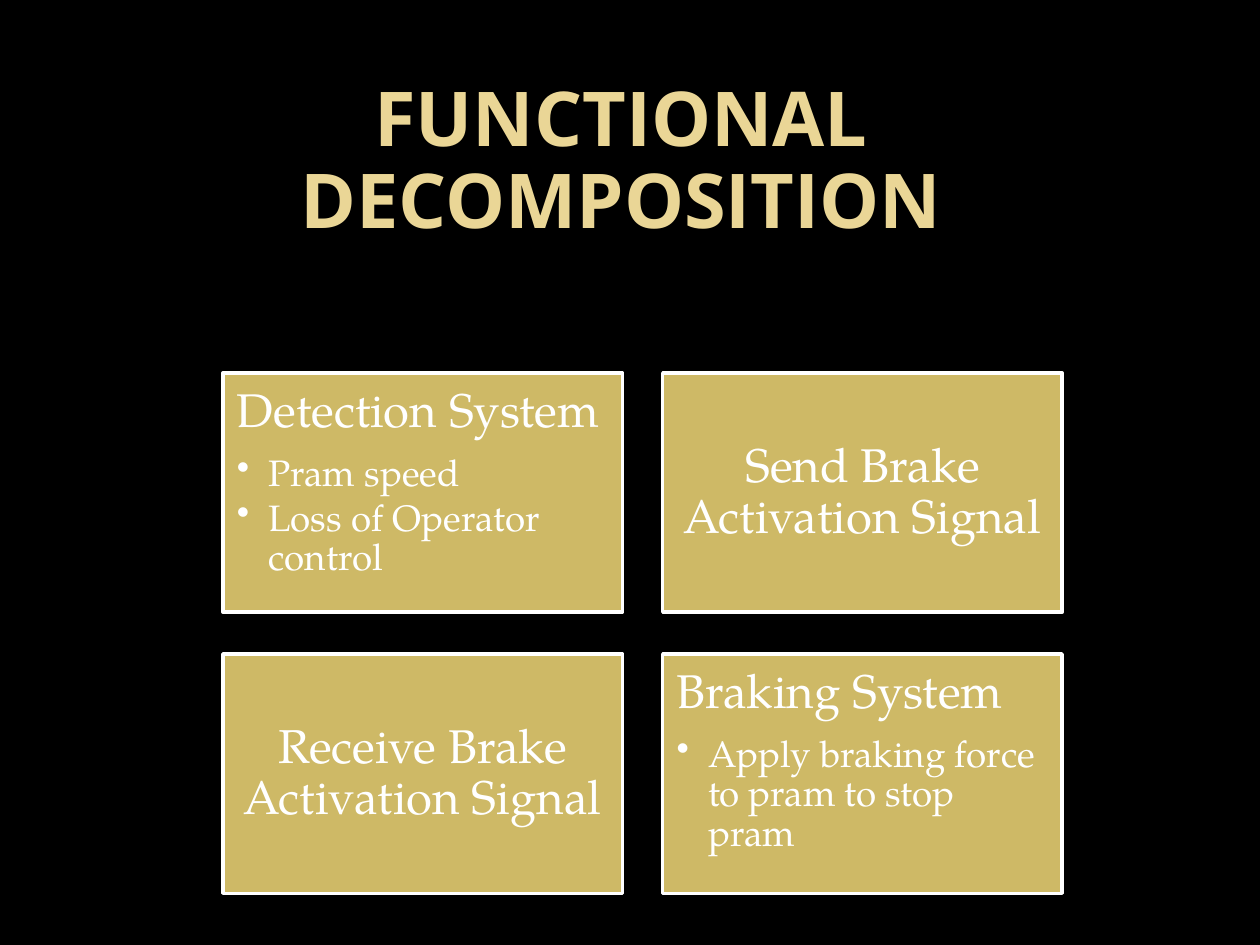
from lxml import etree
from pptx import Presentation
from pptx.dml.color import RGBColor
from pptx.enum.shapes import MSO_SHAPE
from pptx.enum.text import MSO_ANCHOR, PP_ALIGN
from pptx.oxml.ns import qn
from pptx.util import Inches, Pt

RECTANGLE = MSO_SHAPE.RECTANGLE
TOP, MIDDLE, BOTTOM = MSO_ANCHOR.TOP, MSO_ANCHOR.MIDDLE, MSO_ANCHOR.BOTTOM
LEFT, CENTER = PP_ALIGN.LEFT, PP_ALIGN.CENTER
TITLE_ONLY = 5

COLOURS = {"background": "000000", "title": "EAD696", "box": "CEB966", "text": "FFFFFF"}
TITLE_FONT, BODY_FONT = "Open Sans", "TeX Gyre Pagella"

GRID_LEFT, GRID_TOP = 1.77, 2.96
BOX_WIDTH, BOX_HEIGHT = 3.17, 1.9
COLUMN_STEP, ROW_STEP = 3.49, 2.23
COLUMNS = 2
FUNCTIONS = [
    ("Detection System", ["Pram speed", "Loss of Operator control"]),
    ("Send Brake Activation Signal", []),
    ("Receive Brake Activation Signal", []),
    ("Braking System", ["Apply braking force to pram to stop pram"]),
]


def colour(name):
    return RGBColor.from_string(COLOURS[name])


def set_insets(frame, horizontal, vertical):
    frame.margin_left = frame.margin_right = Inches(horizontal)
    frame.margin_top = frame.margin_bottom = Inches(vertical)


def style_paragraph(paragraph, font_name, size, colour_name, align):
    paragraph.alignment = align
    paragraph.line_spacing = 0.9
    paragraph.font.name = font_name
    paragraph.font.size = Pt(size)
    paragraph.font.color.rgb = colour(colour_name)


def add_bullet(paragraph):
    properties = paragraph._p.get_or_add_pPr()
    properties.set("marL", str(Inches(0.25)))
    properties.set("indent", str(Inches(-0.25)))
    bullet = etree.Element(qn("a:buChar"), char="•")
    properties.find(qn("a:defRPr")).addprevious(bullet)


def add_title(slide, text):
    title = slide.shapes.title
    title.left, title.top = Inches(0.43), Inches(0.44)
    title.width, title.height = Inches(9), Inches(1.5)
    frame = title.text_frame
    frame.text = text
    frame.word_wrap = True
    frame.vertical_anchor = BOTTOM
    set_insets(frame, 0.05, 0)
    paragraph = frame.paragraphs[0]
    style_paragraph(paragraph, TITLE_FONT, 43.2, "title", CENTER)
    paragraph.font.bold = True


def add_function_box(slide, left, top, heading, details):
    """Add a box; its heading is centred unless details are listed below it."""
    box = slide.shapes.add_shape(
        RECTANGLE, Inches(left), Inches(top), Inches(BOX_WIDTH), Inches(BOX_HEIGHT)
    )
    box.shadow.inherit = False
    box.fill.solid()
    box.fill.fore_color.rgb = colour("box")
    box.line.color.rgb = colour("text")
    box.line.width = Pt(2)

    frame = box.text_frame
    frame.word_wrap = True
    frame.vertical_anchor = TOP if details else MIDDLE
    set_insets(frame, 0.11, 0.11)
    frame.text = heading
    heading_line = frame.paragraphs[0]
    style_paragraph(heading_line, BODY_FONT, 27, "text", LEFT if details else CENTER)
    heading_line.space_after = Pt(9.45)
    for detail in details:
        paragraph = frame.add_paragraph()
        paragraph.text = detail
        paragraph.level = 1
        style_paragraph(paragraph, BODY_FONT, 21, "text", LEFT)
        paragraph.space_after = Pt(3.15)
        add_bullet(paragraph)


def main():
    deck = Presentation()
    deck.slide_width, deck.slide_height = Inches(10), Inches(7.5)
    slide = deck.slides.add_slide(deck.slide_layouts[TITLE_ONLY])
    slide.background.fill.solid()
    slide.background.fill.fore_color.rgb = colour("background")

    add_title(slide, "FUNCTIONAL DECOMPOSITION")
    for index, (heading, details) in enumerate(FUNCTIONS):
        row, column = divmod(index, COLUMNS)
        add_function_box(
            slide,
            GRID_LEFT + column * COLUMN_STEP,
            GRID_TOP + row * ROW_STEP,
            heading,
            details,
        )
    deck.save("out.pptx")


if __name__ == "__main__":
    main()
